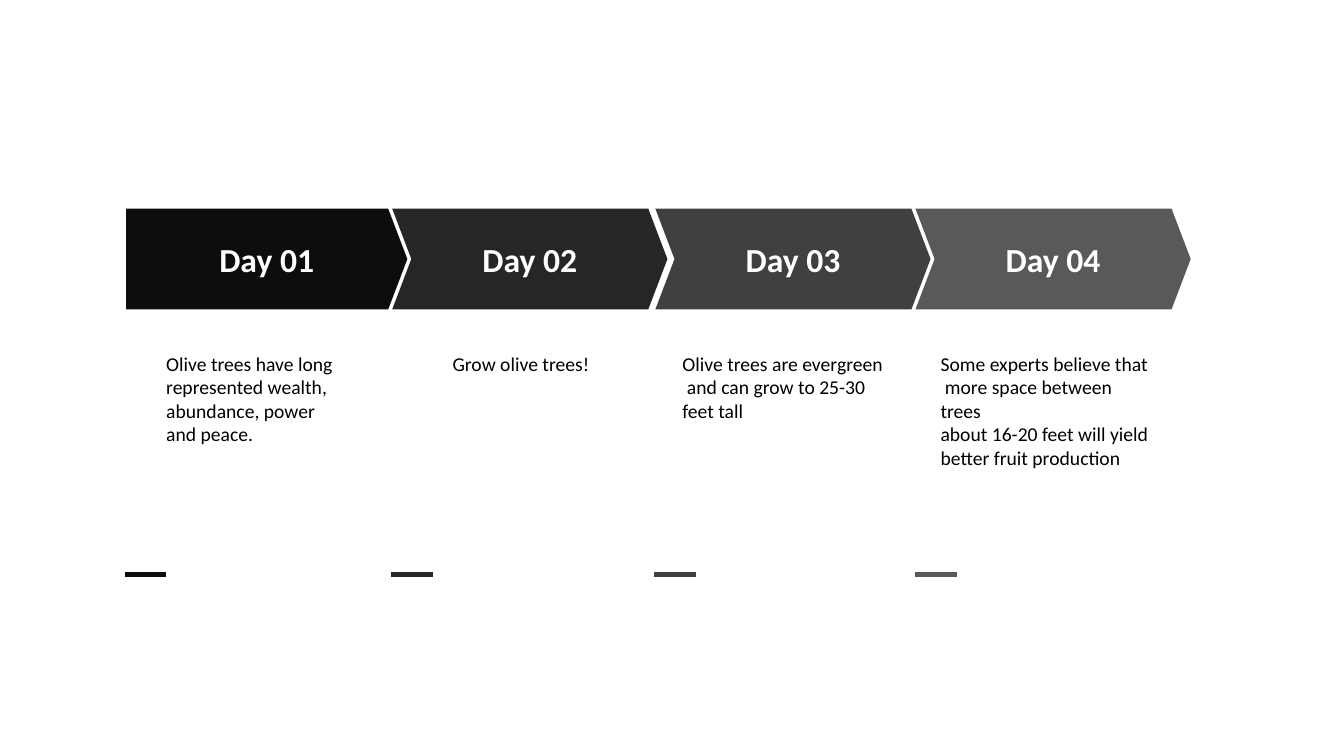
from dataclasses import dataclass

from pptx import Presentation
from pptx import util as u
from pptx.dml.color import RGBColor
from pptx.enum import shapes, text
from pptx.oxml import parse_xml
from pptx.oxml.ns import nsdecls

PX = 9144  # EMU per px, 100 px to the inch
FONT = "Calibri"
TOP, HIGH, TIP = 207, 100, 19  # arrow band
TEXT_TOP, LINE = 344, 24
DASH_TOP, DASH = 570, 41


@dataclass
class Day:
    name: str
    tone: str
    left: int
    wide: int
    dash: int
    box: int
    span: int
    lines: list[str]


DAYS = [
    Day("Day 01", "0D0D0D", 125, 279, 124, 155, 194,
        ["Olive trees have long", "represented wealth,", "abundance, power", "and peace."]),
    Day("Day 02", "262626", 389, 273, 388, 439, 158,
        ["Grow olive trees!"]),
    Day("Day 03", "404040", 650, 273, 649, 667, 222,
        ["Olive trees are evergreen", " and can grow to 25-30", "feet tall"]),
    Day("Day 04", "595959", 908, 273, 908, 923, 232,
        ["Some experts believe that", " more space between trees",
         "about 16-20 feet will yield", "better fruit production"]),
]


def px(n: int) -> int:
    return u.Emu(n * PX)


def hue(code: str) -> RGBColor:
    return RGBColor.from_string(code)


def write(para, words: str, size: int, code: str, bold: bool = False) -> None:
    run = para.add_run()
    run.text = words
    font = run.font
    font.name, font.size, font.bold = FONT, u.Pt(size), bold
    font.color.rgb = hue(code)


def arrow(slide, day: Day, flat: bool) -> None:
    right, low, mid = day.left + day.wide, TOP + HIGH, TOP + HIGH // 2
    notch = [] if flat else [(day.left + TIP, mid)]
    pen = slide.shapes.build_freeform(day.left, TOP, scale=PX)
    pen.add_line_segments(notch + [(day.left, low), (right - TIP, low),
                                   (right, mid), (right - TIP, TOP)])
    shape = pen.convert_to_shape()
    shape.shadow.inherit = False
    shape.fill.solid()
    shape.fill.fore_color.rgb = hue(day.tone)
    shape.line.fill.background()
    frame = shape.text_frame
    frame.vertical_anchor = text.MSO_ANCHOR.MIDDLE
    frame.margin_left = frame.margin_right = px(10)
    frame.margin_top = frame.margin_bottom = px(10)
    para = frame.paragraphs[0]
    para.alignment = text.PP_ALIGN.CENTER
    write(para, day.name, 24, "FFFFFF", True)


def dash(slide, day: Day) -> None:
    line = slide.shapes.add_connector(
        shapes.MSO_CONNECTOR.STRAIGHT,
        px(day.dash), px(DASH_TOP), px(day.dash + DASH), px(DASH_TOP))
    line.line.color.rgb = hue(day.tone)
    line.line.width = u.Pt(3)
    line._element.spPr.append(parse_xml(f"<a:effectLst {nsdecls('a')}/>"))


def note(slide, day: Day) -> None:
    box = slide.shapes.add_textbox(px(day.box), px(TEXT_TOP), px(day.span),
                                   px(10 + LINE * len(day.lines)))
    frame = box.text_frame
    frame.word_wrap = True
    frame.auto_size = text.MSO_AUTO_SIZE.SHAPE_TO_FIT_TEXT
    for i, words in enumerate(day.lines):
        para = frame.add_paragraph() if i else frame.paragraphs[0]
        write(para, words, 14, "000000")


def main() -> None:
    deck = Presentation()
    deck.slide_width, deck.slide_height = px(1333), px(750)
    slide = deck.slides.add_slide(deck.slide_layouts[6])

    # Arrow band, last day at the back
    for day in reversed(DAYS):
        arrow(slide, day, flat=day is DAYS[0])

    # Short rules along the bottom
    for day in DAYS:
        dash(slide, day)

    # Text under each arrow
    for day in DAYS:
        note(slide, day)

    deck.save("out.pptx")


if __name__ == "__main__":
    main()
